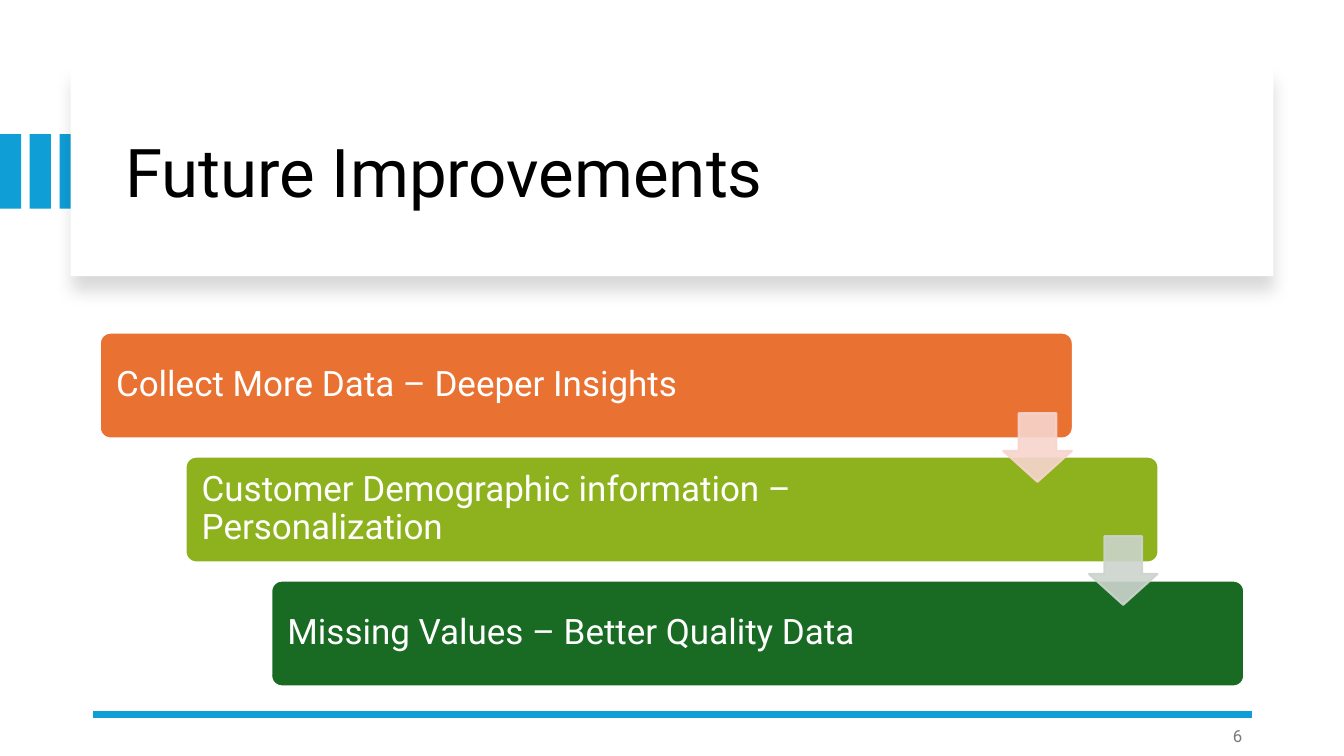
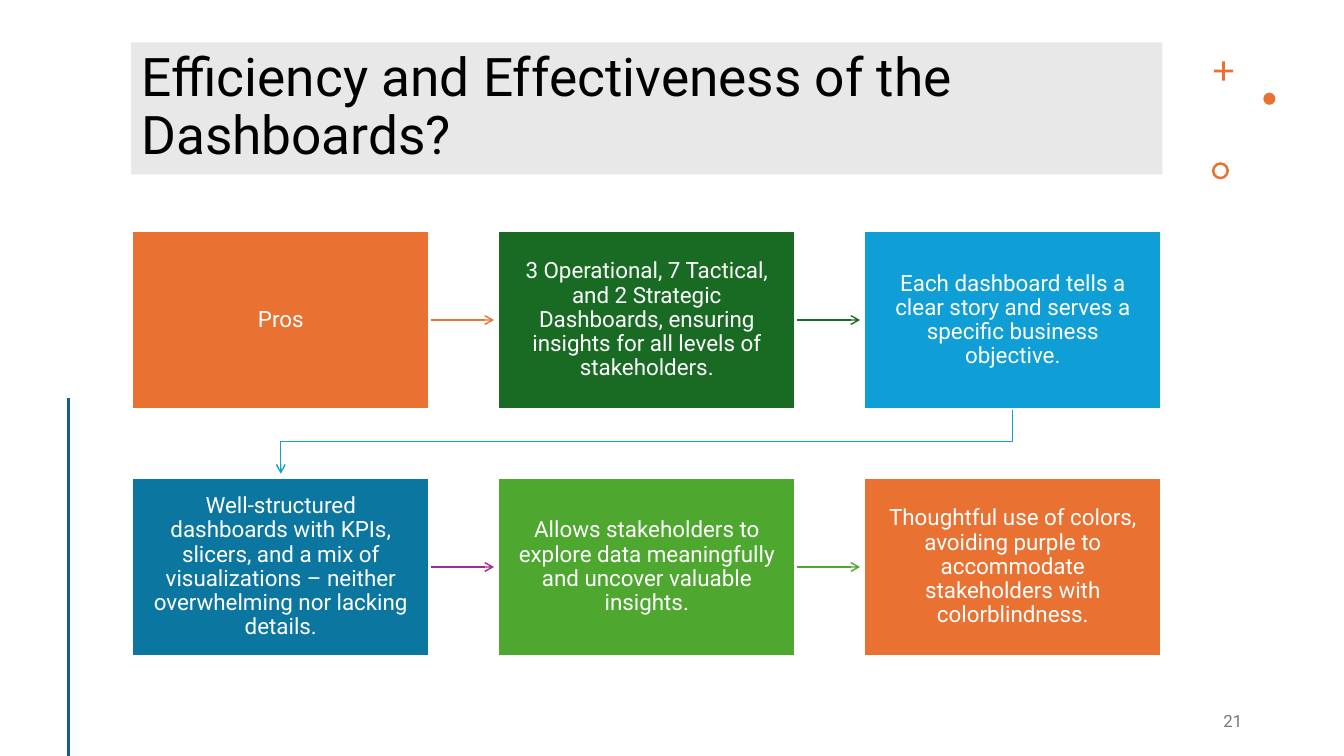
from lxml import etree
from pptx import Presentation
from pptx.dml.color import RGBColor
from pptx.enum.shapes import MSO_CONNECTOR, MSO_SHAPE
from pptx.enum.text import MSO_ANCHOR, MSO_AUTO_SIZE, PP_ALIGN
from pptx.oxml import parse_xml
from pptx.oxml.ns import nsdecls, qn
from pptx.util import Inches, Pt

RECT, ROUNDED = MSO_SHAPE.RECTANGLE, MSO_SHAPE.ROUNDED_RECTANGLE
DOWN_ARROW, CROSS = MSO_SHAPE.DOWN_ARROW, MSO_SHAPE.CROSS
OVAL, DONUT = MSO_SHAPE.OVAL, MSO_SHAPE.DONUT
STRAIGHT, ELBOW = MSO_CONNECTOR.STRAIGHT, MSO_CONNECTOR.ELBOW
LEFT, CENTER, RIGHT = PP_ALIGN.LEFT, PP_ALIGN.CENTER, PP_ALIGN.RIGHT
MIDDLE, NO_FIT = MSO_ANCHOR.MIDDLE, MSO_AUTO_SIZE.NONE

FONT = "Roboto"
TITLE_ONLY = 5
COLORS = {
    "white": "FFFFFF",
    "black": "000000",
    "gray": "E8E8E8",
    "number": "797979",
    "orange": "E97132",
    "lime": "8EB21E",
    "forest": "196B24",
    "sky": "0F9ED5",
    "ocean": "0B76A0",
    "green": "4EA72E",
    "purple": "A02B93",
    "navy": "156082",
    "blush": "F7D5CE",
    "mist": "CCD4CD",
}

STEPS = [
    ("Collect More Data – Deeper Insights", "orange"),
    ("Customer Demographic information – Personalization", "lime"),
    ("Missing Values – Better Quality Data", "forest"),
]
# Text, box color, color of the arrow to the next box
PROS = [
    ("Pros", "orange", "orange"),
    ("3 Operational, 7 Tactical, and 2 Strategic Dashboards, ensuring "
     "insights for all levels of stakeholders.", "forest", "forest"),
    ("Each dashboard tells a clear story and serves a specific business "
     "objective.", "sky", "sky"),
    ("Well-structured dashboards with KPIs, slicers, and a mix of "
     "visualizations – neither overwhelming nor lacking details.",
     "ocean", "purple"),
    ("Allows stakeholders to explore data meaningfully and uncover valuable "
     "insights.", "green", "green"),
    ("Thoughtful use of colors, avoiding purple to accommodate stakeholders "
     "with colorblindness.", "orange", None),
]


def rgb(name):
    return RGBColor.from_string(COLORS[name])


def inches(*lengths):
    return [Inches(length) for length in lengths]


def apply(target, values):
    for name, value in values.items():
        setattr(target, name, value)


def write(shape, text, size, color, align=LEFT, spacing=0.9,
          insets=(0.1, 0.05, 0.1, 0.05)):
    """Fill a shape with one paragraph; insets run left, top, right, bottom."""
    left, top, right, bottom = inches(*insets)
    frame = shape.text_frame
    frame.text = text
    paragraph = frame.paragraphs[0]
    apply(frame, {"word_wrap": True, "auto_size": NO_FIT,
                  "vertical_anchor": MIDDLE, "margin_left": left,
                  "margin_top": top, "margin_right": right,
                  "margin_bottom": bottom})
    apply(paragraph, {"alignment": align, "line_spacing": spacing})
    apply(paragraph.runs[0].font, {"name": FONT, "size": Pt(size)})
    paragraph.runs[0].font.color.rgb = rgb(color)


def add_block(slide, preset, box, fill, outline=None, adjustments=()):
    block = slide.shapes.add_shape(preset, *inches(*box))
    block.shadow.inherit = False
    block.fill.solid()
    block.fill.fore_color.rgb = rgb(fill)
    if outline:
        block.line.color.rgb = rgb(outline)
        block.line.width = Pt(1.5)
    else:
        block.line.fill.background()
    for index, value in enumerate(adjustments):
        block.adjustments[index] = value
    return block


def add_line(slide, start, end, color, width, kind=STRAIGHT, arrow=False):
    line = slide.shapes.add_connector(kind, *inches(*start, *end))
    line.line.color.rgb = rgb(color)
    line.line.width = Pt(width)
    properties = line._element.spPr
    etree.SubElement(properties, qn("a:effectLst"))
    if arrow:
        etree.SubElement(line.line._get_or_add_ln(), qn("a:tailEnd"), type="arrow")
    return line


def add_drop_connector(slide, start, end, color):
    """Go down, across to the left and down again: an elbow turned by 90°."""
    center_x, center_y = (start[0] + end[0]) / 2, (start[1] + end[1]) / 2
    half_run, half_drop = (start[0] - end[0]) / 2, (end[1] - start[1]) / 2
    elbow = add_line(slide, (center_x - half_drop, center_y - half_run),
                     (center_x + half_drop, center_y + half_run),
                     color, 1, ELBOW, arrow=True)
    elbow._element.spPr.find(qn("a:xfrm")).set("rot", str(90 * 60000))


def add_card_shadow(card):
    effects = card._element.spPr.find(qn("a:effectLst"))
    effects.append(parse_xml(
        f'<a:outerShdw {nsdecls("a")} blurRad="{Pt(11)}" dist="{Pt(10)}" '
        f'dir="5400000" algn="t" rotWithShape="0"><a:srgbClr '
        f'val="{COLORS["black"]}"><a:alpha val="15000"/></a:srgbClr>'
        '</a:outerShdw>'))


def make_translucent(block, percent):
    for color in block._element.spPr.iter(qn("a:srgbClr")):
        etree.SubElement(color, qn("a:alpha"), val=str(percent * 1000))


def set_title(slide, text, box, size):
    title = slide.shapes.title
    left, top, width, height = inches(*box)
    apply(title, {"left": left, "top": top, "width": width, "height": height})
    write(title, text, size, "black")
    return title


def add_slide_number(slide, number, top):
    box = slide.shapes.add_textbox(*inches(9.42, top, 3, 0.4))
    write(box, number, 12, "number", RIGHT, spacing=1)


def add_title_card(slide):
    for index in range(3):
        add_block(slide, RECT, (0.295 * index, 1.33, 0.21, 0.74), "sky")
    card = add_block(slide, RECT, (0.7, 0.67, 11.93, 2.07), "white")
    add_card_shadow(card)
    title = slide.shapes.title._element
    title.getparent().append(title)  # bring the title in front of the card


def add_staircase(slide):
    for index, (text, color) in enumerate(STEPS):
        step = add_block(slide, ROUNDED,
                         (0.99 + 0.85 * index, 3.3 + 1.23 * index, 9.65, 1.05),
                         color, "white", [0.1])
        write(step, text, 25, "white", insets=(0.13, 0.1, 1.67, 0.1))
    for index, color in enumerate(("blush", "mist")):
        arrow = add_block(slide, DOWN_ARROW,
                          (9.95 + 0.85 * index, 4.1 + 1.22 * index, 0.68, 0.68),
                          color, color, [0.45, 0.55])
        # The preset lists the head length after the shaft width
        arrow.adjustments[0], arrow.adjustments[1] = 0.55, 0.45
        make_translucent(arrow, 90)


def add_process(slide):
    columns, width, height = 3, 2.95, 1.77
    left, top, pitch_x, pitch_y = 1.31, 2.29, 3.63, 2.45
    reach = 0.64
    for index, (text, color, arrow_color) in enumerate(PROS):
        row, column = divmod(index, columns)
        x, y = left + pitch_x * column, top + pitch_y * row
        if column < columns - 1:
            middle = y + height / 2
            add_line(slide, (x + width, middle), (x + width + reach, middle),
                     arrow_color, 1, arrow=True)
        elif arrow_color:
            bottom = y + height
            add_drop_connector(slide, (x + width / 2, bottom),
                               (left + width / 2, bottom + reach), arrow_color)
        box = add_block(slide, RECT, (x, y, width, height), color, "white")
        write(box, text, 16, "white", CENTER, insets=(0.14, 0.15, 0.14, 0.15))


def add_ornaments(slide):
    add_block(slide, CROSS, (12.04, 0.61, 0.19, 0.19), "orange",
              adjustments=[0.43])
    add_block(slide, OVAL, (12.53, 0.92, 0.12, 0.12), "orange")
    add_block(slide, DONUT, (12.02, 1.61, 0.17, 0.17), "orange",
              adjustments=[0.15])
    add_line(slide, (0.68, 3.95), (0.68, 7.5), "navy", 2)


def build_improvements(slide):
    set_title(slide, "Future Improvements", (1.14, 0.89, 11.13, 1.7), 48)
    add_title_card(slide)
    add_line(slide, (12.42, 7.09), (0.92, 7.09), "sky", 4.5)
    add_slide_number(slide, "6", 7.1)
    add_staircase(slide)


def build_effectiveness(slide):
    title = set_title(slide, "Efficiency and Effectiveness of the Dashboards?",
                      (1.3, 0.42, 10.23, 1.31), 38)
    title.fill.solid()
    title.fill.fore_color.rgb = rgb("gray")
    add_ornaments(slide)
    add_slide_number(slide, "21", 6.95)
    add_process(slide)


def main():
    deck = Presentation()
    deck.slide_width, deck.slide_height = inches(13.33, 7.5)
    for build in (build_improvements, build_effectiveness):
        build(deck.slides.add_slide(deck.slide_layouts[TITLE_ONLY]))
    deck.save("out.pptx")


if __name__ == "__main__":
    main()
